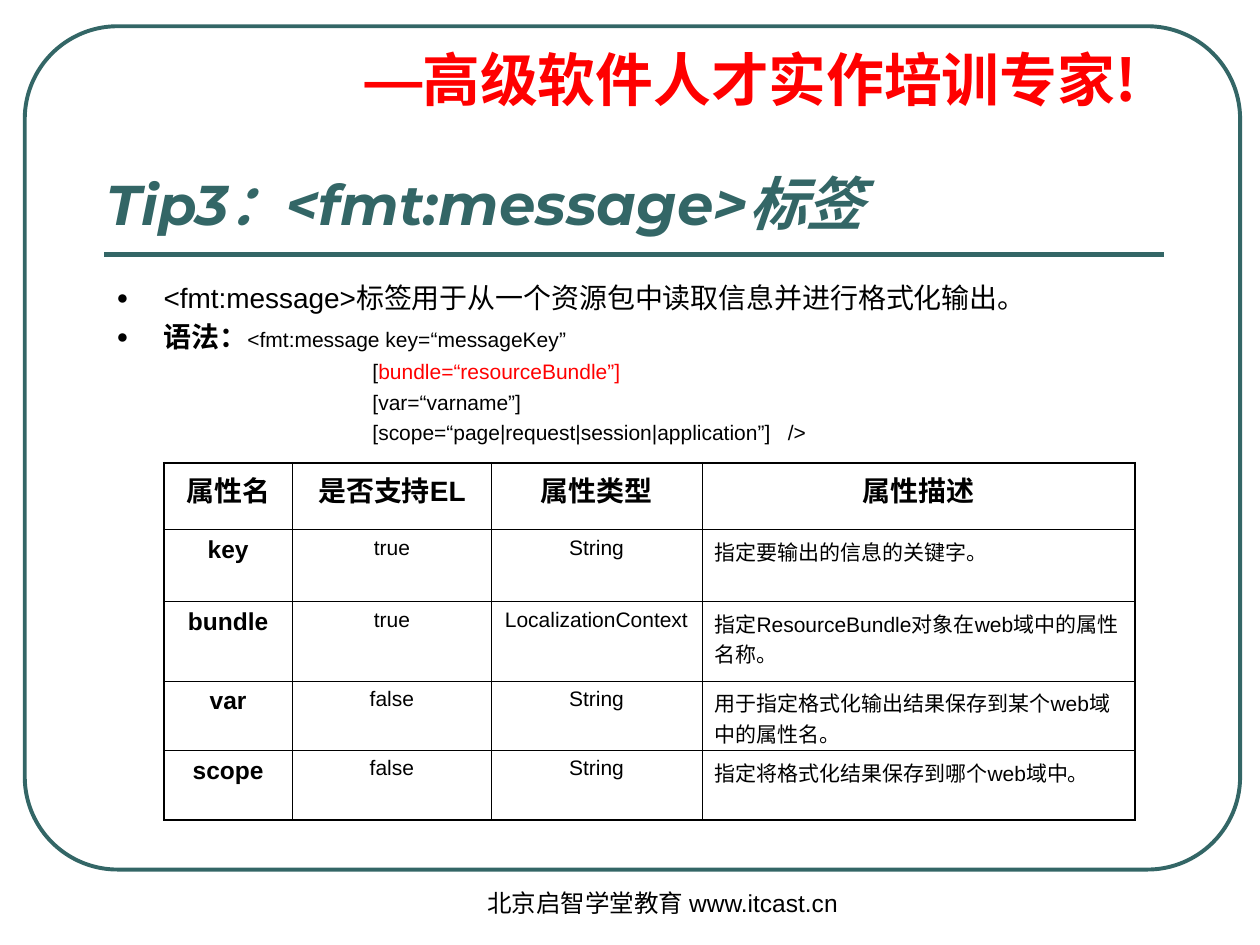
from lxml import etree
from pptx import Presentation
from pptx.dml.color import RGBColor
from pptx.enum import shapes, text
from pptx.oxml import ns
from pptx.util import Cm, Pt

TEAL = RGBColor(0x33, 0x66, 0x66)
RED = RGBColor(0xFF, 0, 0)
BLACK = RGBColor(0, 0, 0)
CJK = "Noto Sans CJK SC"
CENTER = text.PP_ALIGN.CENTER

ATTRIBUTES = [
    ("属性名", "是否支持EL", "属性类型", "属性描述"),
    ("key", "true", "String", "指定要输出的信息的关键字。"),
    ("bundle", "true", "LocalizationContext", "指定ResourceBundle对象在web域中的属性名称。"),
    ("var", "false", "String", "用于指定格式化输出结果保存到某个web域中的属性名。"),
    ("scope", "false", "String", "指定将格式化结果保存到哪个web域中。"),
]
COLUMN_WIDTHS = (2.6, 4.0, 4.25, 8.73)
ROW_HEIGHTS = (1.35, 1.45, 1.6, 1.4, 1.4)


def add_element(parent, tag, **attributes):
    return etree.SubElement(parent, ns.qn(tag), attributes)


def format_run(run, size, color=BLACK, latin="Arial", east_asian="Arial", bold=False, italic=False):
    font = run.font
    font.size, font.bold, font.italic = Pt(size), bold, italic
    font.color.rgb = color
    font.name = latin
    add_element(run._r.get_or_add_rPr(), "a:ea", typeface=east_asian)


def add_run(paragraph, words, size, **style):
    run = paragraph.add_run()
    run.text = words
    format_run(run, size, **style)


def set_indent(paragraph, left, first_line):
    properties = paragraph._p.get_or_add_pPr()
    properties.set("marL", str(Cm(left)))
    properties.set("indent", str(Cm(first_line)))
    return properties


def add_bullet(paragraph):
    properties = set_indent(paragraph, 0.95, -0.95)
    color = add_element(properties, "a:buClr")
    add_element(color, "a:srgbClr", val=str(BLACK))
    add_element(properties, "a:buSzPct", val="70000")
    add_element(properties, "a:buFont", typeface="Arial")
    add_element(properties, "a:buChar", char="●")


def add_text_frame(slide, left, top, width, height):
    box = slide.shapes.add_textbox(Cm(left), Cm(top), Cm(width), Cm(height))
    box.text_frame.word_wrap = True
    return box.text_frame


def add_frame_and_rule(slide):
    frame = slide.shapes.add_shape(
        shapes.MSO_SHAPE.ROUNDED_RECTANGLE, Cm(0.5), Cm(0.53), Cm(24.5), Cm(17))
    frame.adjustments[0] = 0.11
    frame.shadow.inherit = False
    frame.fill.background()
    frame.line.color.rgb = TEAL
    frame.line.width = Pt(2.25)

    rule = slide.shapes.add_connector(
        shapes.MSO_CONNECTOR.STRAIGHT, Cm(2.1), Cm(5.13), Cm(23.47), Cm(5.13))
    rule.line.color.rgb = TEAL
    rule.line.width = Pt(3)
    add_element(rule._element.spPr, "a:effectLst")


def add_slogan(slide):
    paragraph = add_text_frame(slide, 7.1, 0.92, 16, 2.77).paragraphs[0]
    set_indent(paragraph, 0.95, -0.95)
    paragraph.line_spacing = 0.9
    for words, latin in (("—", "Montserrat"), ("高级软件人才实作培训专家!", CJK)):
        add_run(paragraph, words, 33, color=RED, latin=latin, east_asian="Montserrat", bold=True)


def add_footer(slide):
    paragraph = add_text_frame(slide, 9.33, 17.78, 8.05, 1.27).paragraphs[0]
    paragraph.alignment = CENTER
    add_run(paragraph, "北京启智学堂教育 www.itcast.cn", 14, east_asian=CJK)


def set_title(slide):
    title = slide.shapes.title
    title.left, title.top, title.width, title.height = Cm(1.9), Cm(0.92), Cm(21.4), Cm(3.99)
    title.text_frame.vertical_anchor = text.MSO_ANCHOR.BOTTOM
    title.text_frame.word_wrap = True
    title.text_frame.auto_size = text.MSO_AUTO_SIZE.NONE
    paragraph = title.text_frame.paragraphs[0]
    paragraph.alignment = text.PP_ALIGN.LEFT
    for words, size in (("Tip3：<fmt:", 32), ("message>标签", 33)):
        add_run(paragraph, words, size, color=TEAL, latin="Montserrat",
                east_asian="Montserrat", bold=True, italic=True)


def add_syntax(slide):
    frame = add_text_frame(slide, 2.1, 5.54, 21.2, 4.2)
    summary = frame.paragraphs[0]
    add_bullet(summary)
    add_run(summary, "<fmt:message>标签用于从一个资源包中读取信息并进行格式化输出。", 16)

    syntax = frame.add_paragraph()
    syntax.space_before = Pt(3)
    add_bullet(syntax)
    add_run(syntax, "语法：", 16, bold=True)
    add_run(syntax, "<fmt:message key=“messageKey”", 12)

    options = (
        (("[", BLACK), ("bundle=“resourceBundle”]", RED)),
        (("[var=“varname”]", BLACK),),
        (("[scope=“page|request|session|application”]   />", BLACK),),
    )
    for option in options:
        paragraph = frame.add_paragraph()
        paragraph.space_before = Pt(3)
        set_indent(paragraph, 5.16, 0)
        for words, color in option:
            add_run(paragraph, words, 12, color=color)


def set_borders(cell, outer_sides):
    """Draw all four borders, thicker on the outer sides of the table."""
    properties = cell._tc.get_or_add_tcPr()
    for index, side in enumerate("LRTB"):
        width = Pt(1.08) if side in outer_sides else Pt(0.45)
        line = etree.Element(ns.qn(f"a:ln{side}"), w=str(width))
        fill = add_element(line, "a:solidFill")
        add_element(fill, "a:srgbClr", val=str(BLACK))
        properties.insert(index, line)


def add_attribute_table(slide):
    rows, columns = len(ROW_HEIGHTS), len(COLUMN_WIDTHS)
    table = slide.shapes.add_table(
        rows, columns, Cm(3.3), Cm(9.33), Cm(sum(COLUMN_WIDTHS)), Cm(sum(ROW_HEIGHTS))).table
    table.first_row = table.horz_banding = False
    for column, width in zip(table.columns, COLUMN_WIDTHS):
        column.width = Cm(width)
    for row_index, (height, entries) in enumerate(zip(ROW_HEIGHTS, ATTRIBUTES)):
        table.rows[row_index].height = Cm(height)
        for column_index, words in enumerate(entries):
            cell = table.cell(row_index, column_index)
            cell.fill.background()
            is_header, is_name = row_index == 0, column_index == 0
            is_last_column = column_index == columns - 1
            edges = {"L": is_name, "R": is_last_column,
                     "T": is_header, "B": row_index == rows - 1}
            set_borders(cell, [side for side, outer in edges.items() if outer])
            paragraph = cell.text_frame.paragraphs[0]
            if is_header or not is_last_column:
                paragraph.alignment = CENTER
            size = 16 if is_header else 14 if is_name else 12
            add_run(paragraph, words, size, east_asian=CJK, bold=is_header or is_name)


def main():
    presentation = Presentation()
    presentation.slide_width, presentation.slide_height = Cm(25.4), Cm(19.05)
    slide = presentation.slides.add_slide(presentation.slide_layouts[5])
    add_frame_and_rule(slide)
    add_slogan(slide)
    add_footer(slide)
    set_title(slide)
    add_syntax(slide)
    add_attribute_table(slide)
    presentation.save("out.pptx")


if __name__ == "__main__":
    main()
